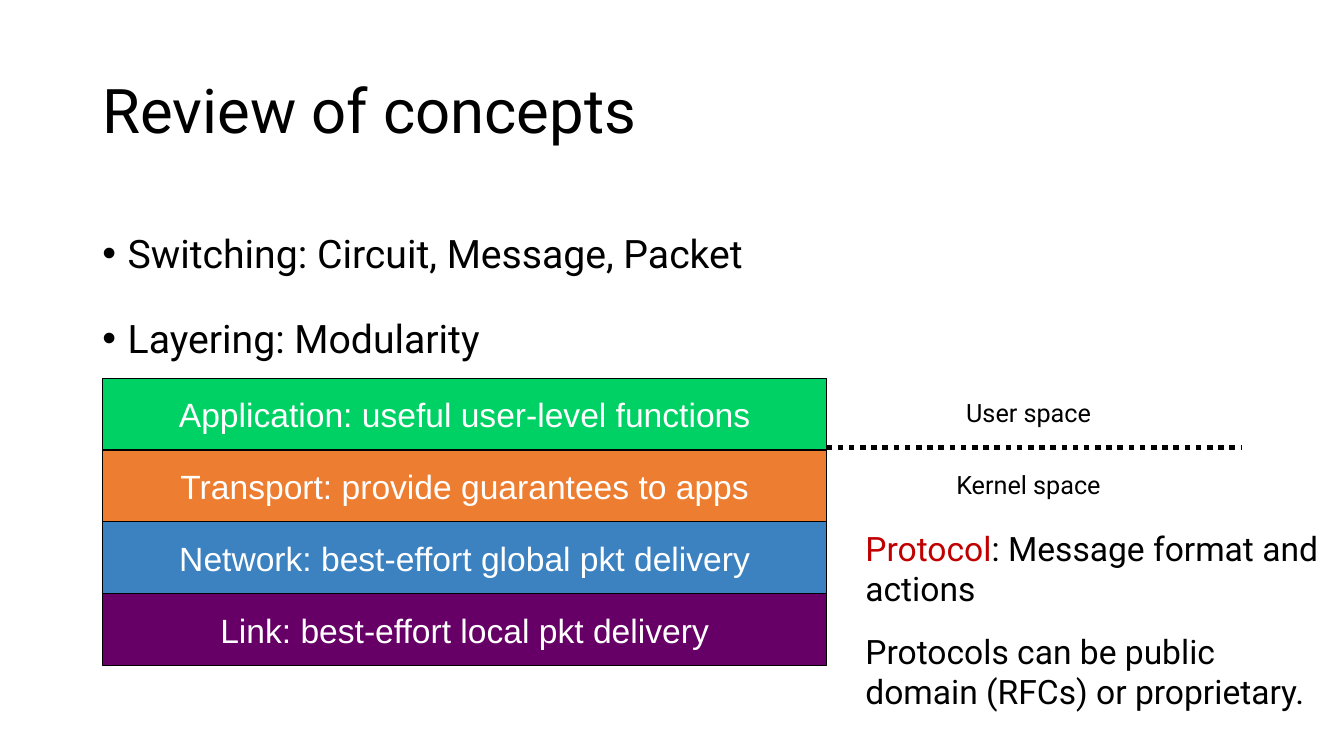
from lxml.etree import SubElement
from pptx import Presentation
from pptx.dml.color import RGBColor
from pptx.enum.dml import MSO_LINE
from pptx.enum.shapes import MSO_CONNECTOR, MSO_SHAPE
from pptx.enum.text import MSO_ANCHOR as Anchor, MSO_AUTO_SIZE as AutoSize, PP_ALIGN as Align
from pptx.oxml.ns import qn
from pptx.util import Cm, Pt

BLACK = "000000"
BAND_LEFT, BAND_TOP, BAND_WIDTH, BAND_HEIGHT = 2.59, 9.53, 18.24, 1.81
BANDS = [
    ("Application: useful user-level functions", "00D164"),
    ("Transport: provide guarantees to apps", "ED7D31"),
    ("Network: best-effort global pkt delivery", "3C82C0"),
    ("Link: best-effort local pkt delivery", "660066"),
]
TOPICS = ["Switching: Circuit, Message, Packet", "Layering: Modularity"]
NOTES = [
    ((24.1, 9.88, 4.14, 1.02), 18, [("User space", BLACK)]),
    ((23.85, 11.71, 4.65, 1.02), 18, [("Kernel space", BLACK)]),
    ((21.56, 13.18, 12.29, 2.31), 24,
     [("Protocol", "C00000"), (": Message format and actions", BLACK)]),
    ((21.56, 15.77, 11.99, 2.31), 24,
     [("Protocols can be public domain (RFCs) or proprietary.", BLACK)]),
]


def color(value):
    return RGBColor.from_string(value)


def add_run(paragraph, text, size, value=BLACK, font="Roboto"):
    run = paragraph.add_run()
    run.text = text
    run.font.size = Pt(size)
    run.font.name = font
    run.font.color.rgb = color(value)


def add_title(slide, text):
    title = slide.shapes.title
    title.left, title.top, title.width, title.height = Cm(2.33), Cm(1.01), Cm(29.21), Cm(3.68)
    frame = title.text_frame
    frame.auto_size = AutoSize.NONE
    frame.vertical_anchor = Anchor.MIDDLE
    paragraph = frame.paragraphs[0]
    paragraph.alignment = Align.LEFT
    paragraph.line_spacing = 0.9
    add_run(paragraph, text, 44)


def add_text_frame(slide, box):
    frame = slide.shapes.add_textbox(*map(Cm, box)).text_frame
    frame.word_wrap = True
    return frame


def add_bullets(slide, box, items):
    frame = add_text_frame(slide, box)
    for index, item in enumerate(items):
        paragraph = frame.add_paragraph() if index else frame.paragraphs[0]
        properties = paragraph._p.get_or_add_pPr()
        properties.set("marL", str(Cm(0.64)))
        properties.set("indent", str(Cm(-0.64)))
        SubElement(properties, qn("a:buFont"), typeface="Arial")
        SubElement(properties, qn("a:buChar"), char="•")
        paragraph.line_spacing = 1.5
        if index:
            paragraph.space_before = Pt(10)
        add_run(paragraph, item, 28)


def add_band(slide, index, text, fill):
    band = slide.shapes.add_shape(
        MSO_SHAPE.RECTANGLE, Cm(BAND_LEFT), Cm(BAND_TOP + index * BAND_HEIGHT),
        Cm(BAND_WIDTH), Cm(BAND_HEIGHT))
    band.shadow.inherit = False
    band.fill.solid()
    band.fill.fore_color.rgb = color(fill)
    band.line.color.rgb = color(BLACK)
    band.line.width = Pt(0.75)
    frame = band.text_frame
    frame.word_wrap = False
    frame.vertical_anchor = Anchor.MIDDLE
    paragraph = frame.paragraphs[0]
    paragraph.alignment = Align.CENTER
    add_run(paragraph, text, 24, "FFFFFF", "Arial")


def add_dotted_line(slide, left, right, top):
    line = slide.shapes.add_connector(
        MSO_CONNECTOR.STRAIGHT, Cm(left), Cm(top), Cm(right), Cm(top))
    line.line.color.rgb = color(BLACK)
    line.line.width = Pt(4)
    line.line.dash_style = MSO_LINE.ROUND_DOT
    SubElement(line._element.spPr, qn("a:effectLst"))


def add_note(slide, box, size, runs):
    frame = add_text_frame(slide, box)
    frame.auto_size = AutoSize.SHAPE_TO_FIT_TEXT
    for text, value in runs:
        add_run(frame.paragraphs[0], text, size, value)


def main():
    presentation = Presentation()
    presentation.slide_width, presentation.slide_height = Cm(33.87), Cm(19.05)
    slide = presentation.slides.add_slide(presentation.slide_layouts[5])
    add_title(slide, "Review of concepts")
    add_bullets(slide, (2.33, 5.07, 29.21, 12.09), TOPICS)
    for index, (text, fill) in enumerate(BANDS):
        add_band(slide, index, text, fill)
    add_dotted_line(slide, BAND_LEFT + BAND_WIDTH, 31.27, 11.28)
    for box, size, runs in NOTES:
        add_note(slide, box, size, runs)
    presentation.save("out.pptx")


if __name__ == "__main__":
    main()
